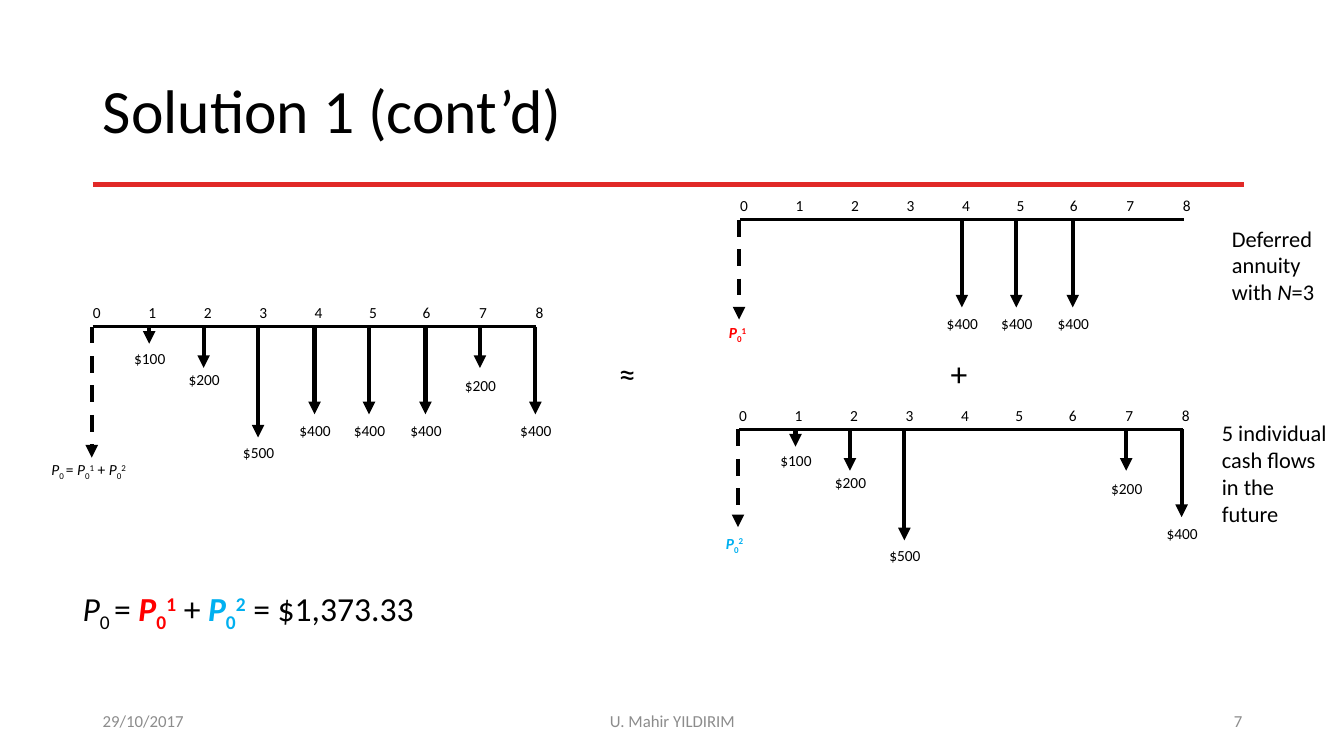
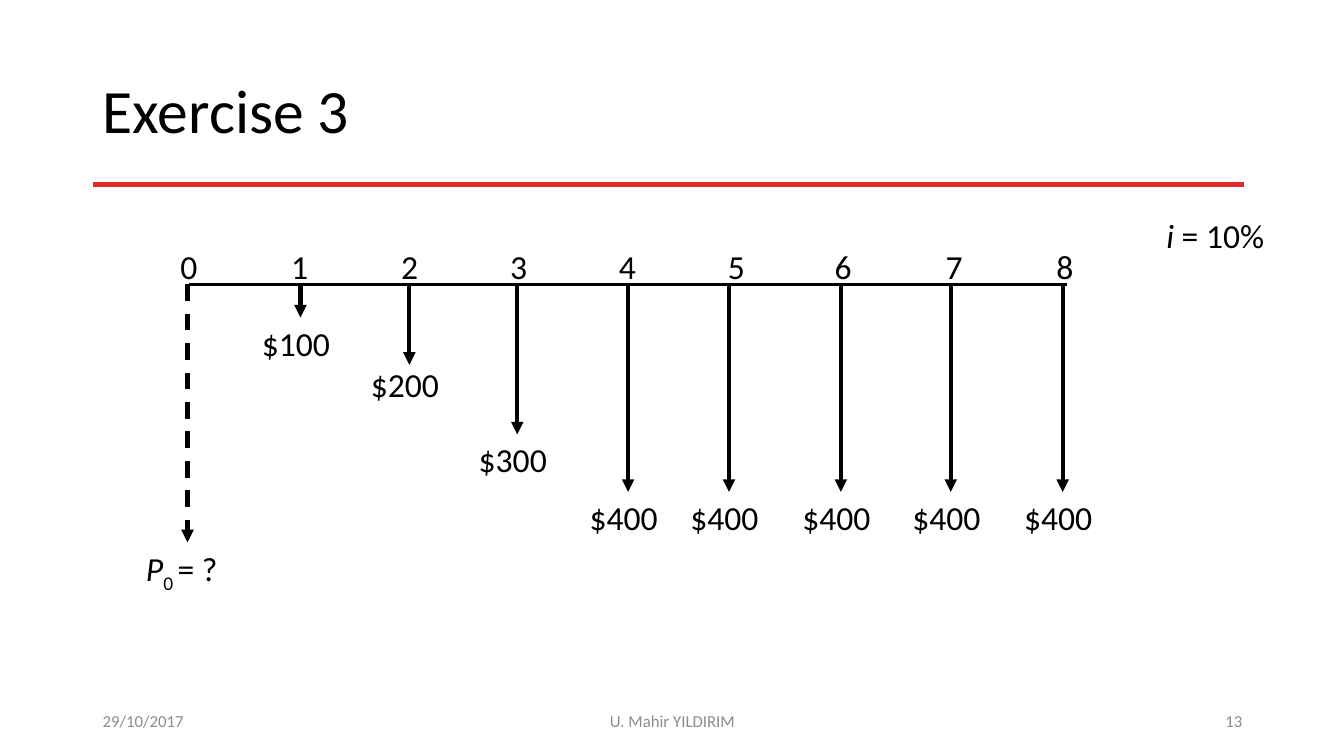
"""Build two slides of cash-flow timelines for present-value exercises."""
from dataclasses import dataclass

from lxml.etree import SubElement
from pptx import Presentation
from pptx.dml.color import RGBColor
from pptx.enum.dml import MSO_LINE
from pptx.enum.shapes import MSO_CONNECTOR
from pptx.enum.text import MSO_ANCHOR as ANCHOR, MSO_AUTO_SIZE as AUTO, PP_ALIGN as ALIGN
from pptx.oxml.ns import qn
from pptx.util import Pt

PX = 9144


@dataclass(frozen=True)
class Theme:
    font: str = "Calibri"
    ink: str = "000000"
    grey: str = "8C8C8C"
    rule: str = "E12927"
    red: str = "FF0000"
    blue: str = "00B0F0"
    title: int = 44
    body: int = 24
    note: int = 16
    footer: int = 12
    small: int = 11
    axis: float = 2.25
    stem: float = 3


T = Theme()


def text(s, box, runs, size=T.body, color=T.ink, align=ALIGN.LEFT, anchor=ANCHOR.TOP,
         wrap=True, auto=AUTO.SHAPE_TO_FIT_TEXT, spacing=None, sp=None):
    x, y, w, h = (v * PX for v in box)
    sp = sp or s.shapes.add_textbox(x, y, w, h)
    sp.left, sp.top, sp.width, sp.height = x, y, w, h
    tf = sp.text_frame
    tf.word_wrap, tf.auto_size, tf.vertical_anchor = wrap, auto, anchor
    p = tf.paragraphs[0]
    p.alignment, p.line_spacing = align, spacing
    for content, style in [(runs, {})] if isinstance(runs, str) else runs:
        r = p.add_run()
        r.text = content
        r.font.name, r.font.size = T.font, Pt(size)
        r.font.bold, r.font.italic = style.get("bold", False), style.get("italic", False)
        r.font.color.rgb = RGBColor.from_string(style.get("color", color))
        if "base" in style:
            r._r.get_or_add_rPr().set("baseline", str(style["base"] * 1000))


def line(s, x1, y1, x2, y2, width=T.stem, color=T.ink, dashed=False, arrow=True):
    c = s.shapes.add_connector(MSO_CONNECTOR.STRAIGHT, x1 * PX, y1 * PX, x2 * PX, y2 * PX)
    c.line.color.rgb = RGBColor.from_string(color)
    c.line.width = Pt(width)
    if dashed:
        c.line.dash_style = MSO_LINE.DASH
    if arrow:
        SubElement(c.line._get_or_add_ln(), qn("a:tailEnd"), type="triangle")
    SubElement(c._element.spPr, qn("a:effectLst"))


ITALIC, SUB, SUP = dict(italic=True), dict(base=-25), dict(base=30)
P0 = [("P", ITALIC), ("0 ", SUB)]
PART1, PART2 = ([("P", ITALIC), ("0", SUB), (n, SUP)] for n in "12")
RED1 = [(t, f | dict(bold=True, color=T.red)) for t, f in PART1]
BLUE2 = [(t, f | dict(bold=True, color=T.blue)) for t, f in PART2]
PLUS = [(" + ", {})]

SMALL = dict(
    size=T.small, align=ALIGN.CENTER, length=440, rise=28, tick=(19, 29), label=(69, 29), shift=34,
    ticks=(-8, 47, 102, 157, 212, 266, 319, 375, 431),
    stems=(0, 57, 111, 165, 221, 275, 331, 385, 440))
LARGE = dict(
    size=T.body, align=ALIGN.LEFT, length=871, rise=43, tick=(38, 50), label=(96, 50), shift=48,
    ticks=(-17, 93, 202, 310, 418, 526, 632, 742, 852),
    stems=(0, 112, 220, 327, 437, 537, 648, 757, 868))

SINGLES = {1: ("$100", 17, 17), 2: ("$200", 41, 38), 3: ("$500", 110, 111),
           7: ("$200", 41, 44), 8: ("$400", 87, 89)}
ANNUITY = {n: ("$400", 87, 89) for n in (4, 5, 6)}
GROWING = {1: ("$100", 33, 33), 2: ("$200", 80, 74), 3: ("$300", 149, 149)}
LEVEL = {n: ("$400", 206, 206) for n in range(4, 9)}

SLIDES = [
    dict(title="Solution 1 (cont’d)", number="7", scale=SMALL,
         timelines=[
             (91, 324, SINGLES | ANNUITY, 130, (16, 452, 144, 29),
              P0 + [("= ", {})] + PART1 + PLUS + PART2),
             (733, 218, ANNUITY, 99, (697, 316, 69, 29), RED1),
             (732, 426, SINGLES, 97, (692, 525, 73, 29), BLUE2)],
         notes=[
             ((604, 345, 37, 50), "≈", dict(wrap=False)),
             ((933, 345, 37, 50), "+", dict(wrap=False)),
             ((72, 578, 362, 50),
              P0 + [("= ", {})] + RED1 + PLUS + BLUE2 + [(" = $1,373.33", {})], dict(wrap=False)),
             ((1212, 218, 121, 91),
              [("Deferred annuity with ", {}), ("N", ITALIC), ("=3", {})], dict(size=T.note)),
             ((1202, 411, 131, 118), "5 individual cash flows in the future", dict(size=T.note))]),
    dict(title="Exercise 3", number="13", scale=LARGE,
         timelines=[(186, 282, GROWING | LEVEL, 256, (135, 539, 96, 50), P0 + [("= ?", {})])],
         notes=[((1147, 208, 154, 50), [("i", ITALIC), (" = 10%", {})], {})]),
]

prs = Presentation()
prs.slide_width, prs.slide_height = 1333 * PX, 750 * PX

for page in SLIDES:
    s = prs.slides.add_slide(prs.slide_layouts[5])
    line(s, 92, 183, 1234, 183, color=T.rule, arrow=False)
    text(s, (92, 40, 1150, 145), page["title"], size=T.title, anchor=ANCHOR.MIDDLE,
         auto=AUTO.NONE, spacing=0.9, sp=s.shapes.title)
    for x, w, content, align in [(92, 300, "29/10/2017", ALIGN.LEFT),
                                 (442, 450, "U. Mahir YILDIRIM", ALIGN.CENTER),
                                 (942, 300, page["number"], ALIGN.RIGHT)]:
        text(s, (x, 695, w, 40), content, size=T.footer, color=T.grey, align=align,
             anchor=ANCHOR.MIDDLE, auto=AUTO.NONE)

    k = page["scale"]
    fmt = dict(size=k["size"], align=k["align"])
    for x0, y, flows, depth, box, value in page["timelines"]:
        line(s, x0 + 1, y, x0 + 1 + k["length"], y, width=T.axis, arrow=False)
        line(s, x0, y, x0, y + depth, dashed=True)
        text(s, box, value, **fmt)
        for n, dx in enumerate(k["ticks"]):
            text(s, (x0 + dx, y - k["rise"], *k["tick"]), str(n), size=k["size"])
        for n, (amount, length, drop) in flows.items():
            x = x0 + k["stems"][n]
            line(s, x, y, x, y + length)
            text(s, (x - k["shift"], y + drop, *k["label"]), amount, **fmt)

    for box, content, style in page["notes"]:
        text(s, box, content, **style)

prs.save("out.pptx")
